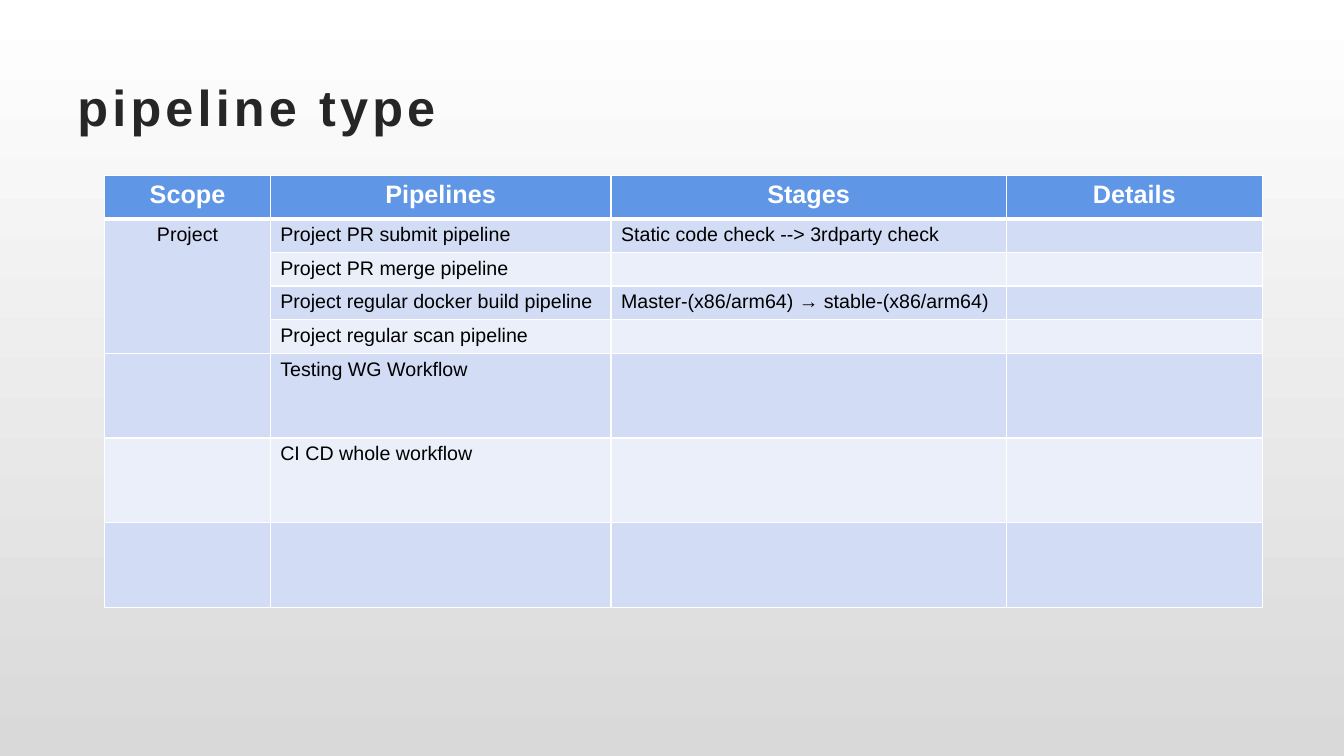
import lxml.etree
import pptx
import pptx.dml.color
import pptx.enum.text
import pptx.oxml.ns
import pptx.util

Inches = pptx.util.Inches
Pt = pptx.util.Pt
RGBColor = pptx.dml.color.RGBColor
ALIGN = pptx.enum.text.PP_ALIGN
qn = pptx.oxml.ns.qn

WHITE = RGBColor(0xFF, 0xFF, 0xFF)
BLACK = RGBColor(0, 0, 0)
GREY = RGBColor(0xD9, 0xD9, 0xD9)
TITLE = RGBColor(0x26, 0x26, 0x26)
HEADER = RGBColor(0x60, 0x96, 0xE6)
BAND_DARK = RGBColor(0xD2, 0xDD, 0xF5)
BAND_LIGHT = RGBColor(0xEA, 0xEF, 0xFA)

COLUMNS = [1.64, 3.38, 3.92, 2.54]
HEIGHTS = [0.43] + [0.32] * 4 + [0.84] * 3
ROWS = [
    ["Scope", "Pipelines", "Stages", "Details"],
    ["Project", "Project PR submit pipeline", "Static code check --> 3rdparty check", ""],
    ["", "Project PR merge pipeline", "", ""],
    ["", "Project regular docker build pipeline", "Master-(x86/arm64) → stable-(x86/arm64)", ""],
    ["", "Project regular scan pipeline", "", ""],
    ["", "Testing WG Workflow", "", ""],
    ["", "CI CD whole workflow", "", ""],
    ["", "", "", ""],
]


class Deck:
    font = "Arial"

    def __init__(self):
        self.prs = pptx.Presentation()
        self.prs.slide_width = Inches(13.33)
        self.prs.slide_height = Inches(7.5)
        self.s = self.prs.slides.add_slide(self.prs.slide_layouts[6])

    def background(self, top, bottom):
        fill = self.s.background.fill
        fill.gradient()
        fill.gradient_angle = 270
        for stop, position, color in zip(fill.gradient_stops, (0, 1), (top, bottom)):
            stop.position = position
            stop.color.rgb = color

    def text(self, p, text, size, color, bold):
        p.text = text
        for r in p.runs:
            r.font.name = self.font
            r.font.size = Pt(size)
            r.font.bold = bold
            r.font.color.rgb = color
        if not text:
            end = lxml.etree.SubElement(p._p, qn("a:endParaRPr"))
            end.set("sz", str(size * 100))

    def title(self, text, left, top, width, height):
        tf = self.s.shapes.add_textbox(
            Inches(left), Inches(top), Inches(width), Inches(height)).text_frame
        tf.word_wrap = True
        tf.vertical_anchor = pptx.enum.text.MSO_ANCHOR.MIDDLE
        p = tf.paragraphs[0]
        self.text(p, text, 36, TITLE, True)
        p.runs[0]._r.get_or_add_rPr().set("spc", "300")

    def border(self, cell, side, width):
        ln = lxml.etree.SubElement(cell._tc.get_or_add_tcPr(), qn("a:" + side))
        ln.set("w", str(Pt(width)))
        fill = lxml.etree.SubElement(ln, qn("a:solidFill"))
        lxml.etree.SubElement(fill, qn("a:srgbClr")).set("val", str(WHITE))

    def cell(self, cell, text, row, col):
        header = row == 0
        p = cell.text_frame.paragraphs[0]
        self.text(p, text, 18 if header else 14, WHITE if header else BLACK, header)
        if header or col == 0:
            p.alignment = ALIGN.CENTER
        for side in ("lnL", "lnR", "lnT", "lnB"):
            thick = (row, side) in ((0, "lnB"), (1, "lnT"))
            self.border(cell, side, 3 if thick else 1)
        cell.fill.solid()
        banded = BAND_DARK if row % 2 or cell.is_spanned else BAND_LIGHT
        cell.fill.fore_color.rgb = HEADER if header else banded

    def table(self, rows, columns, heights, left, top):
        table = self.s.shapes.add_table(
            len(rows), len(columns), Inches(left), Inches(top),
            Inches(sum(columns)), Inches(sum(heights))).table
        for column, width in zip(table.columns, columns):
            column.width = Inches(width)
        for row, height in zip(table.rows, heights):
            row.height = Inches(height)
        table.cell(1, 0).merge(table.cell(4, 0))
        for i, row in enumerate(rows):
            for j, text in enumerate(row):
                self.cell(table.cell(i, j), text, i, j)


def main():
    deck = Deck()
    deck.background(WHITE, GREY)
    deck.title("pipeline type", 0.67, 0.67, 12, 0.77)
    deck.table(ROWS, COLUMNS, HEIGHTS, 1.04, 1.74)
    deck.prs.save("out.pptx")


if __name__ == "__main__":
    main()
